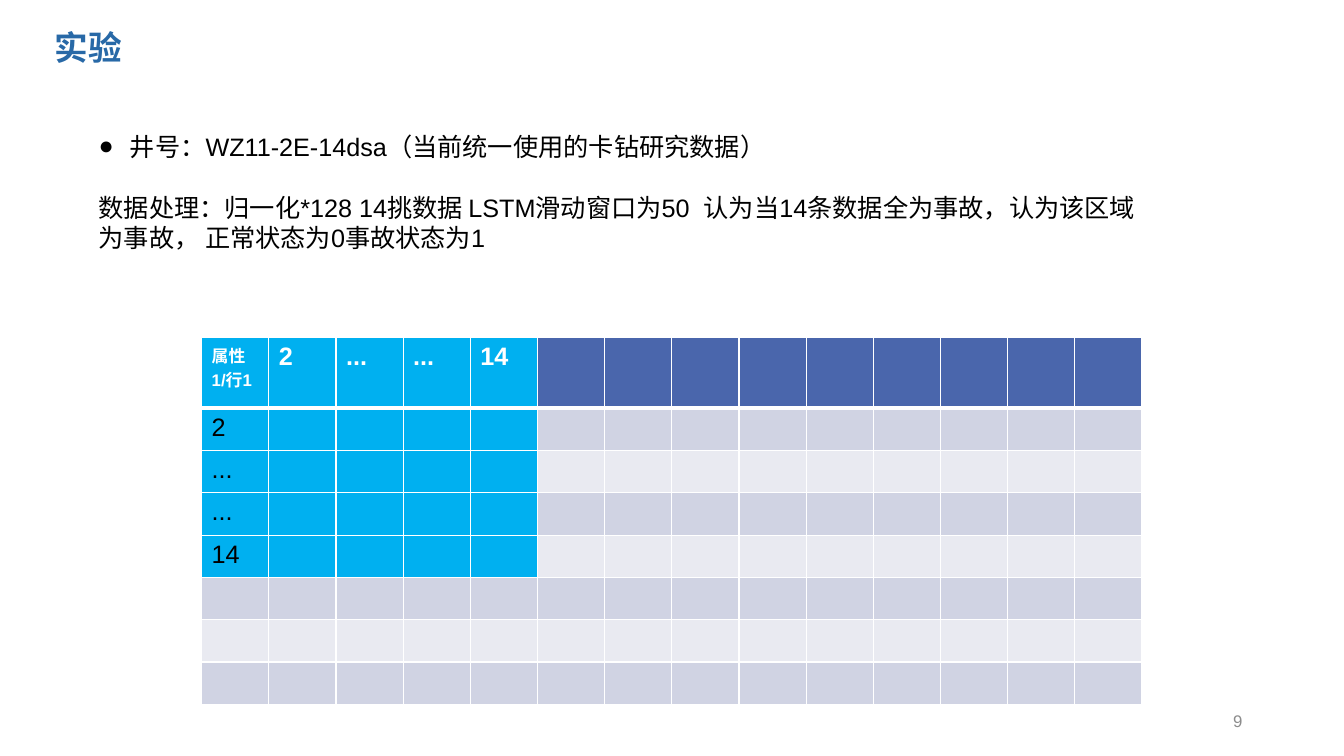
"""Builds the experiment slide with its sliding-window table."""
from dataclasses import dataclass

from lxml import etree
from pptx import Presentation
from pptx.dml.color import RGBColor
from pptx.enum.text import MSO_ANCHOR, MSO_AUTO_SIZE, PP_ALIGN
from pptx.oxml.ns import qn
from pptx.util import Inches, Pt

TOP, MIDDLE = MSO_ANCHOR.TOP, MSO_ANCHOR.MIDDLE
LEFT, RIGHT = PP_ALIGN.LEFT, PP_ALIGN.RIGHT
FIXED = MSO_AUTO_SIZE.NONE
TITLE_ONLY = 5

HEADING = "实验"
WELL = "井号：WZ11-2E-14dsa（当前统一使用的卡钻研究数据）"
PROCESSING = ("数据处理：归一化*128 14挑数据 LSTM滑动窗口为50  认为当14条数据全为事故，"
              "认为该区域为事故， 正常状态为0事故状态为1")
PAGE = "9"
ATTRIBUTES = ["属性1/行1", "2", "...", "...", "14"]
RECORDS = ["2", "...", "...", "14"]
ROWS, COLUMNS = 8, 14
TABLE_WIDTH, HEADER_HEIGHT, ROW_HEIGHT = 9.33, 0.7, 0.42


@dataclass(frozen=True)
class Theme:
    """Colours, fonts and type sizes."""
    heading: str = "2869A7"
    ink: str = "000000"
    page: str = "8C8C8C"
    white: str = "FFFFFF"
    window: str = "00B0F0"
    header: str = "4A66AC"
    bands: tuple = ("D0D3E3", "E9EAF1")
    latin: str = "Arial"
    chinese: str = "Noto Sans CJK SC"
    heading_size: int = 24
    body_size: int = 18
    small_size: int = 12


THEME = Theme()


def write(paragraph, text, size, color, bold=False, latin=THEME.latin):
    """Adds one formatted run to a paragraph."""
    run = paragraph.add_run()
    run.text = text
    run.font.size = Pt(size)
    run.font.bold = bold
    run.font.name = latin
    run.font.color.rgb = RGBColor.from_string(color)
    east_asian = etree.Element(qn("a:ea"), typeface=THEME.chinese)
    run.font._element.find(qn("a:latin")).addnext(east_asian)


def place(shape, left, top, width, height):
    """Sets a shape's frame in inches."""
    shape.left, shape.top = Inches(left), Inches(top)
    shape.width, shape.height = Inches(width), Inches(height)


def add_frame(slide, left, top, width, height):
    """Adds a wrapping text box and returns its text frame."""
    box = slide.shapes.add_textbox(Inches(left), Inches(top), Inches(width), Inches(height))
    box.text_frame.word_wrap = True
    return box.text_frame


def add_bullet(paragraph, symbol, indent):
    """Gives a paragraph a bullet with a hanging indent."""
    properties = paragraph._p.get_or_add_pPr()
    properties.set("marL", str(Inches(indent)))
    properties.set("indent", str(-Inches(indent)))
    etree.SubElement(properties, qn("a:buFont"), typeface=THEME.latin)
    etree.SubElement(properties, qn("a:buChar"), char=symbol)


def add_borders(cell, widths):
    """Draws white cell borders with the given widths in points."""
    properties = cell._tc.get_or_add_tcPr()
    for side, width in widths.items():
        line = etree.SubElement(properties, qn(f"a:ln{side}"), w=str(Pt(width)))
        fill = etree.SubElement(line, qn("a:solidFill"))
        etree.SubElement(fill, qn("a:srgbClr"), val=THEME.white)


def cell_fill(row, column):
    """Returns the fill colour of a table cell."""
    if row <= len(RECORDS) and column < len(ATTRIBUTES):
        return THEME.window
    return THEME.bands[(row - 1) % 2] if row else THEME.header


def cell_label(row, column):
    """Returns the text of a table cell."""
    if row == 0 and column < len(ATTRIBUTES):
        return ATTRIBUTES[column]
    if column == 0 and 0 < row <= len(RECORDS):
        return RECORDS[row - 1]
    return ""


def add_window_table(slide):
    """Adds the data grid with the highlighted window."""
    height = HEADER_HEIGHT + (ROWS - 1) * ROW_HEIGHT
    table = slide.shapes.add_table(ROWS, COLUMNS, Inches(2), Inches(3.35),
                                   Inches(TABLE_WIDTH), Inches(height)).table
    for column in table.columns:
        column.width = Inches(TABLE_WIDTH / COLUMNS)
    for row_index, row in enumerate(table.rows):
        row.height = Inches(ROW_HEIGHT if row_index else HEADER_HEIGHT)
        for column_index, cell in enumerate(row.cells):
            top = 3 if row_index == 1 else 1
            bottom = 1 if row_index else 3
            add_borders(cell, {"L": 1, "R": 1, "T": top, "B": bottom})
            cell.fill.solid()
            cell.fill.fore_color.rgb = RGBColor.from_string(cell_fill(row_index, column_index))
            label = cell_label(row_index, column_index)
            if label:
                corner = row_index == column_index == 0
                write(cell.text_frame.paragraphs[0], label,
                      THEME.small_size if corner else THEME.body_size,
                      THEME.ink if row_index else THEME.white, bold=row_index == 0)
    table.cell(0, 0).margin_right = Inches(0)


def main():
    """Builds and saves the slide."""
    deck = Presentation()
    deck.slide_width, deck.slide_height = Inches(13.33), Inches(7.5)
    slide = deck.slides.add_slide(deck.slide_layouts[TITLE_ONLY])

    title = slide.shapes.title
    place(title, 0.44, 0.26, 3.54, 0.45)
    title.text_frame.auto_size = FIXED
    title.text_frame.vertical_anchor = TOP
    heading = title.text_frame.paragraphs[0]
    heading.alignment = LEFT
    heading.line_spacing = 0.9
    write(heading, HEADING, THEME.heading_size, THEME.heading, True, THEME.chinese)

    page_frame = add_frame(slide, 9.42, 6.95, 3, 0.4)
    page_frame.vertical_anchor = MIDDLE
    page = page_frame.paragraphs[0]
    page.alignment = RIGHT
    write(page, PAGE, THEME.small_size, THEME.page)

    description = add_frame(slide, 0.88, 1.25, 10.59, 1.31)
    well = description.paragraphs[0]
    add_bullet(well, "●", 0.31)
    write(well, WELL, THEME.body_size, THEME.ink)
    processing = description.add_paragraph()
    processing.space_before = Pt(22)
    write(processing, PROCESSING, THEME.body_size, THEME.ink)

    add_window_table(slide)
    deck.save("out.pptx")


if __name__ == "__main__":
    main()
